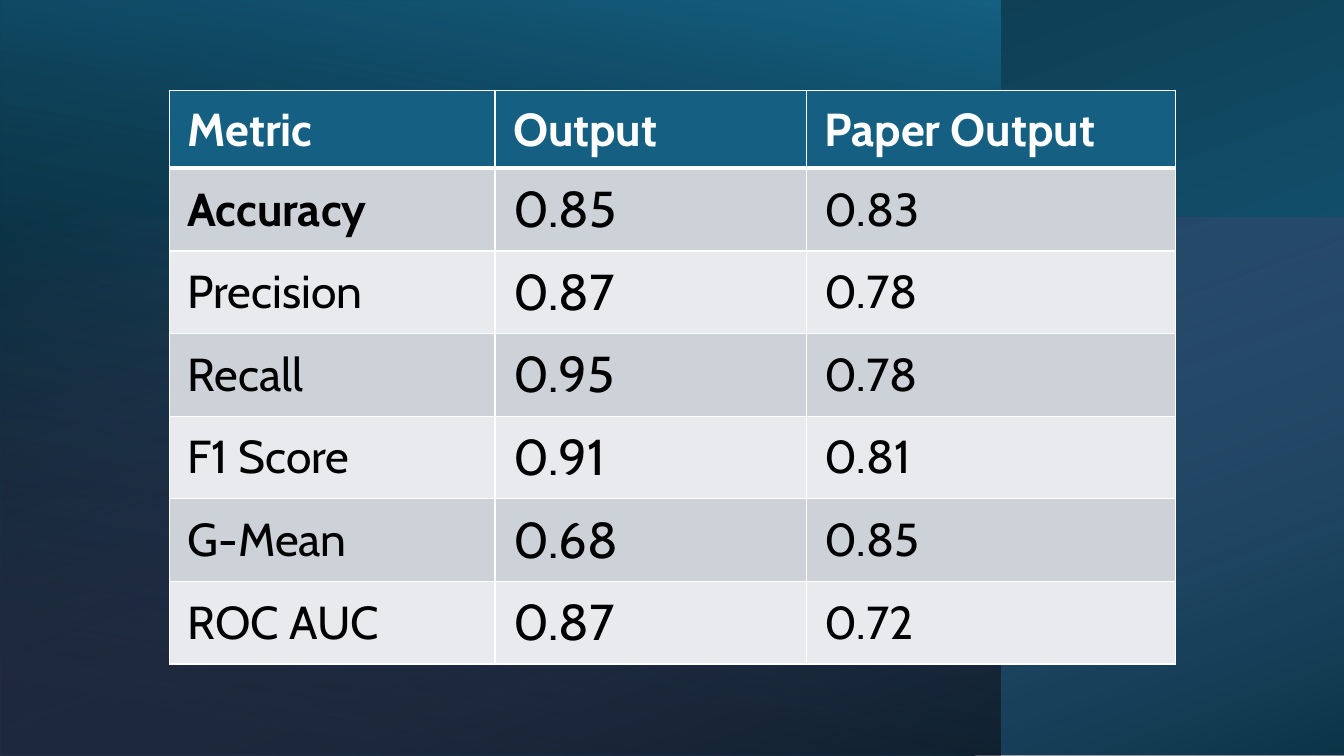
from dataclasses import dataclass

from lxml.etree import SubElement as Sub
from pptx import Presentation
from pptx.dml.color import RGBColor as Rgb
from pptx.enum.shapes import MSO_SHAPE as Kind
from pptx.enum.text import MSO_ANCHOR as Anchor
from pptx.oxml import parse_xml
from pptx.oxml.ns import nsdecls, qn
from pptx.slide import Slide
from pptx.table import _Cell as Cell
from pptx.util import Emu, Pt

SCALE = 9144
FONT = "Cabin"
COLORS = {
    "blue": "156082",
    "navy": "0B3041",
    "pink": "D86ECC",
    "black": "000000",
    "white": "FFFFFF",
    "gray": "CCD2D8",
    "pale": "E8EAED",
}


@dataclass(frozen=True)
class Stop:
    place: int
    color: str
    alpha: int = 100


@dataclass(frozen=True)
class Panel:
    left: int
    top: int
    width: int
    height: int
    turn: int
    angle: int
    stops: tuple[Stop, Stop]


@dataclass(frozen=True)
class Score:
    metric: str
    output: str
    paper: str
    bold: bool = False


PANELS = (
    Panel(292, -292, 750, 1333, 270, 200, (Stop(8, "blue"), Stop(100, "navy"))),
    Panel(0, 0, 992, 750, 180, 80, (Stop(8, "black", 52), Stop(100, "blue"))),
    Panel(399, -184, 535, 1334, 270, 20, (Stop(0, "pink", 0), Stop(100, "black", 46))),
)
SCORES = (
    Score("Metric", "Output", "Paper Output", True),
    Score("Accuracy", "0.85", "0.83", True),
    Score("Precision", "0.87", "0.78"),
    Score("Recall", "0.95", "0.78"),
    Score("F1 Score", "0.91", "0.81"),
    Score("G-Mean", "0.68", "0.85"),
    Score("ROC AUC", "0.87", "0.72"),
)
WIDTHS = (323, 309, 366)
HEAD, BODY = 77, 82


def px(size: int) -> Emu:
    return Emu(size * SCALE)


def draw_panel(slide: Slide, panel: Panel) -> None:
    box = (panel.left, panel.top, panel.width, panel.height)
    shape = slide.shapes.add_shape(Kind.RECTANGLE, *map(px, box))
    shape.shadow.inherit = False
    shape.line.fill.background()
    shape.rotation = panel.turn
    shape.fill.gradient()
    props = shape._element.spPr
    props.find(qn("a:xfrm")).set("flipH", "1")
    stops = "".join(
        f'<a:gs pos="{stop.place * 1000}"><a:srgbClr val="{COLORS[stop.color]}">'
        f'<a:alpha val="{stop.alpha * 1000}"/></a:srgbClr></a:gs>'
        for stop in panel.stops
    )
    grad = parse_xml(
        f'<a:gradFill {nsdecls("a")} rotWithShape="1"><a:gsLst>{stops}</a:gsLst>'
        f'<a:lin ang="{panel.angle * 60000}" scaled="0"/></a:gradFill>'
    )
    props.replace(props.find(qn("a:gradFill")), grad)


def draw_edges(cell: Cell, top: int, bottom: int) -> None:
    props = cell._tc.get_or_add_tcPr()
    sides = (("L", 1), ("R", 1), ("T", top), ("B", bottom))
    for index, (side, width) in enumerate(sides):
        line = Sub(props, qn(f"a:ln{side}"), w=str(Pt(width)))
        fill = Sub(line, qn("a:solidFill"))
        Sub(fill, qn("a:srgbClr"), val=COLORS["white"])
        props.insert(index, line)


def fill_cell(cell: Cell, text: str, size: int, bold: bool, ink: str, fill: str) -> None:
    cell.fill.solid()
    cell.fill.fore_color.rgb = Rgb.from_string(COLORS[fill])
    cell.vertical_anchor = Anchor.MIDDLE
    cell.margin_left = cell.margin_right = px(18)
    cell.margin_top = cell.margin_bottom = px(9)
    run = cell.text_frame.paragraphs[0].add_run()
    run.text = text
    run.font.name = FONT
    run.font.size = Pt(size)
    run.font.bold = bold
    run.font.color.rgb = Rgb.from_string(COLORS[ink])


def draw_table(slide: Slide) -> None:
    high = HEAD + BODY * (len(SCORES) - 1)
    box = map(px, (168, 90, sum(WIDTHS), high))
    table = slide.shapes.add_table(len(SCORES), len(WIDTHS), *box).table
    for column, width in zip(table.columns, WIDTHS):
        column.width = px(width)
    for row, score in enumerate(SCORES):
        head = row == 0
        table.rows[row].height = px(HEAD if head else BODY)
        fill = "blue" if head else ("pale", "gray")[row % 2]
        ink = "white" if head else "black"
        for col, text in enumerate((score.metric, score.output, score.paper)):
            cell = table.cell(row, col)
            size = 36 if col == 1 and not head else 33
            bold = head or (score.bold and col == 0)
            fill_cell(cell, text, size, bold, ink, fill)
            draw_edges(cell, 3 if row == 1 else 1, 3 if head else 1)


def main() -> None:
    deck = Presentation()
    deck.slide_width, deck.slide_height = px(1333), px(750)
    slide = deck.slides.add_slide(deck.slide_layouts[6])
    for panel in PANELS:
        draw_panel(slide, panel)
    draw_table(slide)
    deck.save("out.pptx")


if __name__ == "__main__":
    main()
